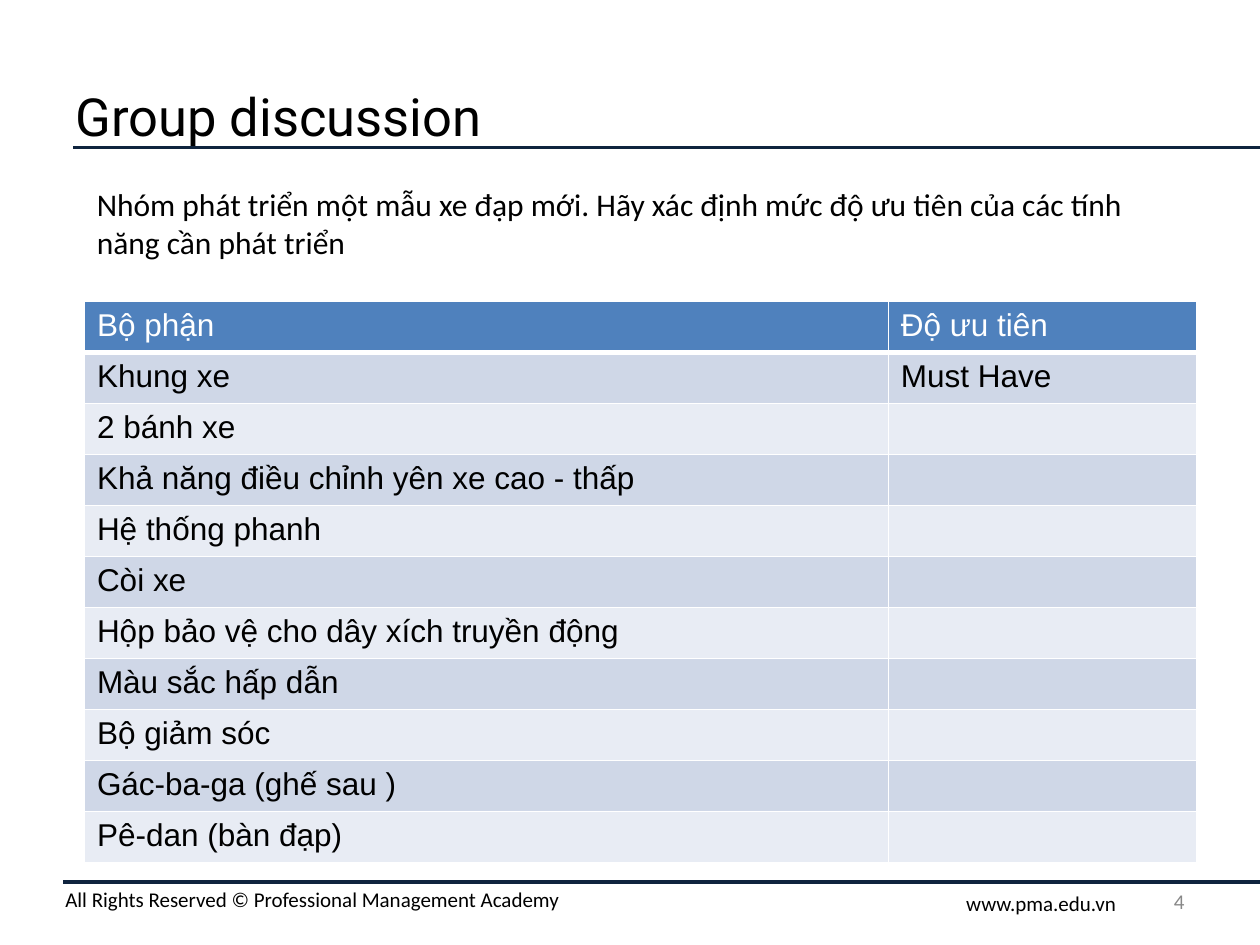
from dataclasses import dataclass

from lxml import etree
from pptx import Presentation
from pptx.dml.color import RGBColor
from pptx.enum.shapes import MSO_CONNECTOR
from pptx.enum.text import MSO_ANCHOR, MSO_AUTO_SIZE, PP_ALIGN
from pptx.oxml.ns import qn
from pptx.util import Inches, Pt

STRAIGHT = MSO_CONNECTOR.STRAIGHT
TOP, MIDDLE = MSO_ANCHOR.TOP, MSO_ANCHOR.MIDDLE
LEFT, RIGHT = PP_ALIGN.LEFT, PP_ALIGN.RIGHT
NO_AUTOFIT = MSO_AUTO_SIZE.NONE
TITLE_ONLY = 5


@dataclass(frozen=True)
class Theme:
    title_font: str = "Roboto"
    text_font: str = "Calibri"
    table_font: str = "Arial"
    title_size: int = 30
    body_size: int = 18
    footer_size: int = 12
    text: str = "000000"
    muted: str = "888888"
    rule: str = "0F243E"
    white: str = "FFFFFF"
    header: str = "4F81BD"
    bands: tuple = ("CFD7E7", "E8ECF4")
    rule_width: int = 2
    border: int = 1
    header_border: int = 3


FEATURES = [
    ("Bộ phận", "Độ ưu tiên"),
    ("Khung xe", "Must Have"),
    ("2 bánh xe", ""),
    ("Khả năng điều chỉnh yên xe cao - thấp", ""),
    ("Hệ thống phanh", ""),
    ("Còi xe", ""),
    ("Hộp bảo vệ cho dây xích truyền động", ""),
    ("Màu sắc hấp dẫn", ""),
    ("Bộ giảm sóc", ""),
    ("Gác-ba-ga (ghế sau )", ""),
    ("Pê-dan (bàn đạp)", ""),
]


class SlideBuilder:
    """Adds styled elements to one slide."""

    def __init__(self, slide, theme):
        self.slide = slide
        self.theme = theme

    def style(self, paragraph, font, size, color, align=LEFT):
        paragraph.alignment = align
        paragraph.font.name = font
        paragraph.font.size = Pt(size)
        paragraph.font.bold = False
        paragraph.font.color.rgb = RGBColor.from_string(color)

    def title(self, text, left, top, width, height):
        shape = self.slide.shapes.title
        shape.left, shape.top = Inches(left), Inches(top)
        shape.width, shape.height = Inches(width), Inches(height)
        frame = shape.text_frame
        frame.text = text
        frame.auto_size = NO_AUTOFIT
        frame.vertical_anchor = MIDDLE
        self.style(frame.paragraphs[0], self.theme.title_font, self.theme.title_size, self.theme.text)

    def text(self, text, left, top, width, height, size, color, align=LEFT, anchor=TOP):
        shape = self.slide.shapes.add_textbox(Inches(left), Inches(top), Inches(width), Inches(height))
        frame = shape.text_frame
        frame.word_wrap = True
        frame.vertical_anchor = anchor
        frame.text = text
        self.style(frame.paragraphs[0], self.theme.text_font, size, color, align)

    def rule(self, left, right, top):
        connector = self.slide.shapes.add_connector(
            STRAIGHT, Inches(left), Inches(top), Inches(right), Inches(top))
        connector.line.color.rgb = RGBColor.from_string(self.theme.rule)
        connector.line.width = Pt(self.theme.rule_width)
        etree.SubElement(connector._element.spPr, qn("a:effectLst"))

    def borders(self, cell, top, bottom):
        properties = cell._tc.get_or_add_tcPr()
        widths = {"lnL": self.theme.border, "lnR": self.theme.border, "lnT": top, "lnB": bottom}
        for side, width in widths.items():
            line = etree.SubElement(properties, qn(f"a:{side}"), w=str(Pt(width)))
            fill = etree.SubElement(line, qn("a:solidFill"))
            etree.SubElement(fill, qn("a:srgbClr"), val=self.theme.white)

    def table(self, rows, left, top, column_widths, height):
        theme = self.theme
        table = self.slide.shapes.add_table(
            len(rows), len(column_widths), Inches(left), Inches(top),
            Inches(sum(column_widths)), Inches(height)).table
        for column, width in zip(table.columns, column_widths):
            column.width = Inches(width)
        for row_index, values in enumerate(rows):
            is_header = row_index == 0
            fill = theme.header if is_header else theme.bands[(row_index - 1) % 2]
            color = theme.white if is_header else theme.text
            upper = theme.header_border if row_index == 1 else theme.border
            lower = theme.header_border if is_header else theme.border
            for column_index, value in enumerate(values):
                cell = table.cell(row_index, column_index)
                cell.text = value
                self.borders(cell, upper, lower)
                cell.fill.solid()
                cell.fill.fore_color.rgb = RGBColor.from_string(fill)
                self.style(cell.text_frame.paragraphs[0], theme.table_font, theme.body_size, color)


def main():
    theme = Theme()
    presentation = Presentation()
    presentation.slide_width = Inches(10)
    presentation.slide_height = Inches(7.5)
    slide = presentation.slides.add_slide(presentation.slide_layouts[TITLE_ONLY])
    builder = SlideBuilder(slide, theme)

    builder.rule(0.58, 10, 1.17)
    builder.rule(0.5, 10, 7)
    builder.text("All Rights Reserved © Professional Management Academy",
                 0.42, 6.99, 9.58, 0.3, theme.footer_size, theme.text)
    builder.text("www.pma.edu.vn", 7.57, 7.02, 1.52, 0.3, theme.footer_size, theme.text)
    builder.title("Group discussion", 0.5, 0.5, 9, 0.83)
    builder.table(FEATURES, 0.67, 2.39, (6.38, 2.45), 4.46)
    builder.text("4", 7.17, 6.95, 2.33, 0.4, theme.footer_size, theme.muted, RIGHT, MIDDLE)
    builder.text("Nhóm phát triển một mẫu xe đạp mới. Hãy xác định mức độ ưu tiên "
                 "của các tính năng cần phát triển",
                 0.67, 1.42, 8.83, 0.71, theme.body_size, theme.text)
    presentation.save("out.pptx")


if __name__ == "__main__":
    main()
